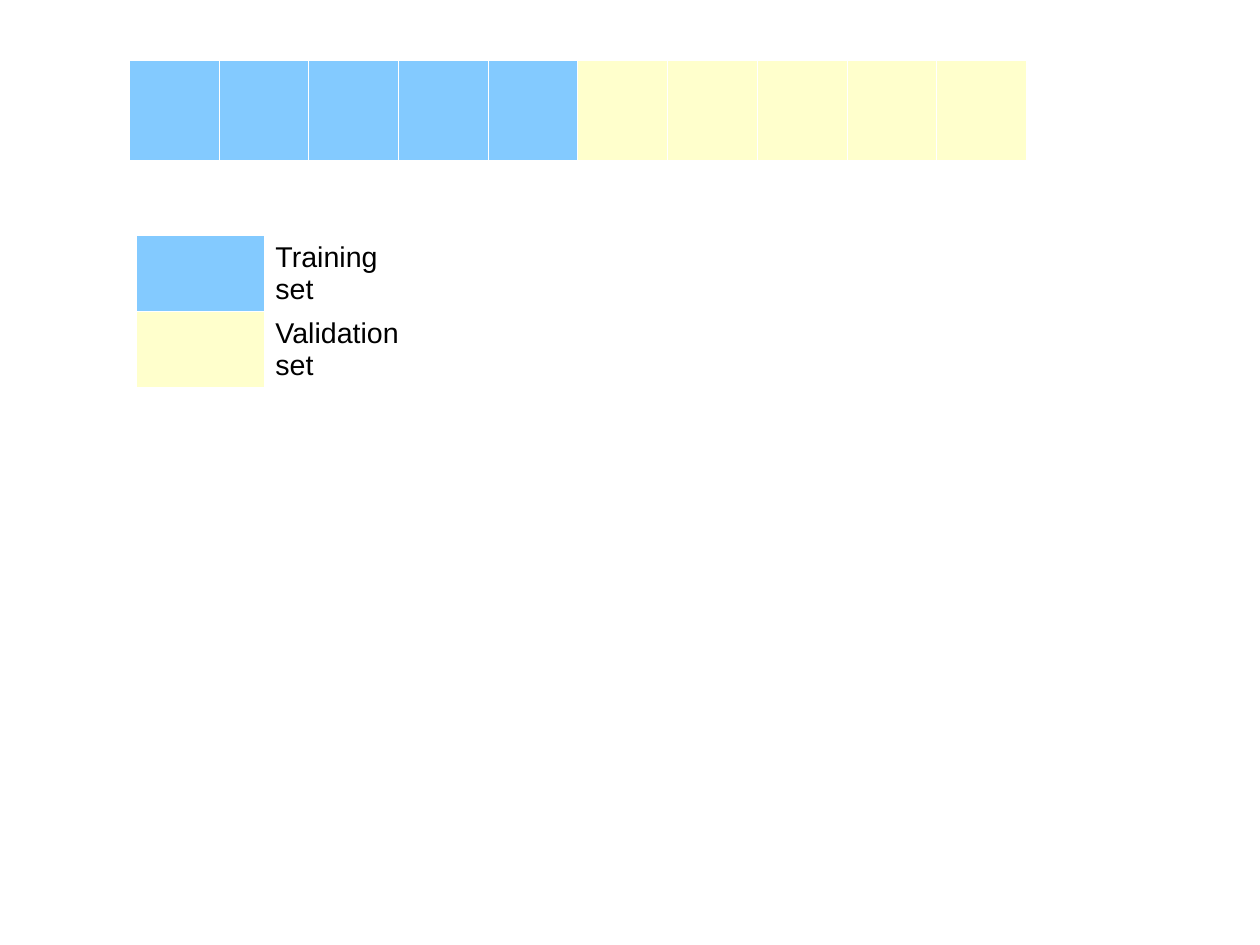
from lxml import etree
from pptx import Presentation
from pptx import util as u
from pptx.dml.color import RGBColor
from pptx.oxml.ns import qn

COLORS = {
    "training": "83CAFF",
    "validation": "FFFFCC",
    "white": "FFFFFF",
    "black": "000000",
}
FONT = "Arial"
FOLDS_PER_SET = 5
BORDER_WIDTH = u.Pt(0.06)
CM_PER_INCH = 2.54


def color(name):
    return RGBColor.from_string(COLORS[name])


def add_plain_table(slide, left, top, column_widths, row_heights):
    shape = slide.shapes.add_table(
        len(row_heights), len(column_widths), u.Inches(left), u.Inches(top),
        u.Inches(sum(column_widths)), u.Inches(sum(row_heights)))
    table = shape.table
    table.first_row = False
    table.horz_banding = False
    for column, width in zip(table.columns, column_widths):
        column.width = u.Inches(width)
    for row, height in zip(table.rows, row_heights):
        row.height = u.Inches(height)
    return table


def add_borders(cell):
    properties = cell._tc.get_or_add_tcPr()
    for side in ("lnL", "lnR", "lnT", "lnB"):
        line = etree.SubElement(properties, qn("a:" + side), w=str(BORDER_WIDTH))
        fill = etree.SubElement(line, qn("a:solidFill"))
        etree.SubElement(fill, qn("a:srgbClr"), val=COLORS["white"])


def style_cell(cell, fill_name, content=""):
    add_borders(cell)
    cell.fill.solid()
    cell.fill.fore_color.rgb = color(fill_name)
    cell.text_frame.text = content
    for paragraph in cell.text_frame.paragraphs:
        for run in paragraph.runs:
            run.font.name = FONT
            run.font.size = u.Pt(18)
            run.font.color.rgb = color("black")


def add_data_split(slide):
    fills = ["training"] * FOLDS_PER_SET + ["validation"] * FOLDS_PER_SET
    table = add_plain_table(slide, 1.13, 0.53, [7.85 / len(fills)] * len(fills), [0.87])
    for cell, fill_name in zip(table.iter_cells(), fills):
        style_cell(cell, fill_name)


def add_legend(slide):
    entries = [("training", "Training\nset"), ("validation", "Validation\nset")]
    row_heights = [1.33 / len(entries)] * len(entries)
    table = add_plain_table(slide, 1.19, 2.06, [1.12, 1.34], row_heights)
    for row, (fill_name, label) in enumerate(entries):
        style_cell(table.cell(row, 0), fill_name)
        style_cell(table.cell(row, 1), "white", label)


def main():
    presentation = Presentation()
    presentation.slide_width = u.Inches(28 / CM_PER_INCH)
    presentation.slide_height = u.Inches(21 / CM_PER_INCH)
    slide = presentation.slides.add_slide(presentation.slide_layouts[6])
    add_data_split(slide)
    add_legend(slide)
    presentation.save("out.pptx")


main()
